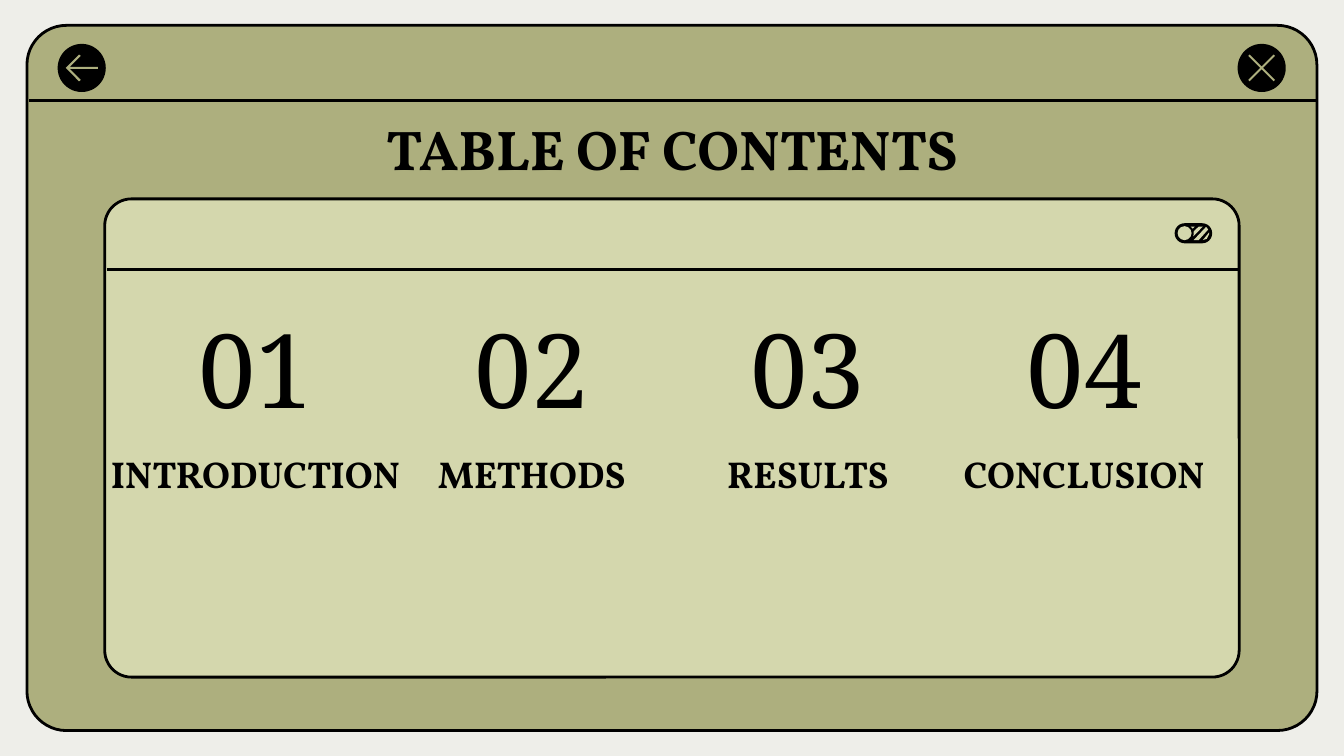
from dataclasses import dataclass

from lxml import etree
from pptx import Presentation
from pptx import util as u
from pptx.dml.color import RGBColor
from pptx.enum import shapes, text
from pptx.oxml.ns import qn
from pptx.util import Cm


@dataclass(frozen=True)
class Theme:
    page: RGBColor = RGBColor.from_string("EEEEE9")
    olive: RGBColor = RGBColor.from_string("ADAF7E")
    pale: RGBColor = RGBColor.from_string("D4D7AD")
    ink: RGBColor = RGBColor.from_string("000000")
    heading_font: str = "Vollkorn"
    number_font: str = "Noto Serif"
    title_size: int = 30
    label_size: int = 20
    number_size: int = 55
    line_width: float = 1.5


T = Theme()

# Outlines in hundredths of the icon grid, measured from the icon centre
CROSS = [(-9, -10), (-10, -9), (-1, 0), (-10, 9), (-9, 10), (0, 1),
         (9, 10), (10, 9), (1, 0), (10, -9), (9, -10), (0, -1)]
BACK_ARROW = [(-2, -10), (-12, 0), (-2, 10), (-0.7, 9), (-9, 0.7),
              (12, 0.7), (12, -0.7), (-9, -0.7), (-0.7, -9)]
# Gaps between the toggle's stripes, on a 28 by 15 grid
TOGGLE_GAPS = [
    [(15, 2.5), (13.5, 4), (12, 2.5)],
    [(21, 2.5), (14, 9.7), (14.3, 6), (18, 2.5)],
    [(23.5, 2.7), (25, 4.7), (18, 12.5), (14.2, 12.5)],
    [(25.7, 6.7), (25.7, 8), (24, 11.6), (21, 12.5)],
]

# Number, label, label box width and height
SECTIONS = [("01", "INTRODUCTION", 6.43, 1.47), ("02", "METHODS", 4.88, 1.12),
            ("03", "RESULTS", 4.88, 1.12), ("04", "CONCLUSION", 5.56, 1.93)]


def paint(sp, fill, outlined=False):
    sp.shadow.inherit = False
    sp.fill.solid()
    sp.fill.fore_color.rgb = fill
    if outlined:
        sp.line.color.rgb = T.ink
        sp.line.width = u.Pt(T.line_width)
    else:
        sp.line.fill.background()
    return sp


def add_polygon(s, origin, unit, points, fill):
    """Draw a closed outline of grid points, one grid step being unit long."""
    xy = [(origin[0] + x * unit, origin[1] + y * unit) for x, y in points]
    builder = s.shapes.build_freeform(*xy[0], scale=1.0)
    builder.add_line_segments(xy[1:], close=True)
    paint(builder.convert_to_shape(), fill)


def add_window(s, left, top, width, height, bar, fill):
    """Rounded panel with a rule below its title bar."""
    sp = s.shapes.add_shape(shapes.MSO_SHAPE.ROUNDED_RECTANGLE,
                            left, top, width, height)
    sp.adjustments[0] = 0.056
    paint(sp, fill, outlined=True)
    rule = s.shapes.add_connector(shapes.MSO_CONNECTOR.STRAIGHT, left + Cm(0.04),
                                  top + bar, left + width, top + bar)
    rule.line.color.rgb = T.ink
    rule.line.width = u.Pt(T.line_width)
    etree.SubElement(rule.element.spPr, qn("a:effectLst"))


def add_round_button(s, left, top, size, outline):
    paint(s.shapes.add_shape(shapes.MSO_SHAPE.OVAL, left, top, size, size), T.ink)
    centre = (left + size / 2, top + size / 2)
    add_polygon(s, centre, size / 36, outline, T.olive)


def add_toggle(s, left, top, width):
    unit = width / 28
    pill = s.shapes.add_shape(shapes.MSO_SHAPE.ROUNDED_RECTANGLE,
                              left, top, width, int(15 * unit))
    pill.adjustments[0] = 0.5
    paint(pill, T.ink)
    knob = int(10.4 * unit)
    inset = int(2.2 * unit)
    paint(s.shapes.add_shape(shapes.MSO_SHAPE.OVAL,
                             left + inset, top + inset, knob, knob), T.pale)
    for gap in TOGGLE_GAPS:
        add_polygon(s, (left, top), unit, gap, T.pale)


def set_text(sp, words, font, size, anchor, bold=False):
    tf = sp.text_frame
    tf.text = words
    tf.word_wrap = True
    tf.auto_size = text.MSO_AUTO_SIZE.NONE
    tf.vertical_anchor = anchor
    tf.margin_left = tf.margin_right = tf.margin_top = tf.margin_bottom = Cm(0.25)
    p = tf.paragraphs[0]
    p.alignment = text.PP_ALIGN.CENTER
    f = p.runs[0].font
    f.name, f.size, f.bold = font, u.Pt(size), bold
    f.color.rgb = T.ink
    return p


def place_title(s, left, top, width, height, words):
    title = s.shapes.title
    title.left, title.top, title.width, title.height = left, top, width, height
    p = set_text(title, words, T.heading_font, T.title_size,
                 text.MSO_ANCHOR.MIDDLE, bold=True)
    p.line_spacing = 0.7
    # The placeholder comes first in the tree; bring it above the panels
    title.element.getparent().append(title.element)


def add_sections(s, left, top, pitch, width, height):
    """Row of numbers, each with its label standing on the bottom of the box."""
    for i, (number, label, label_w, label_h) in enumerate(SECTIONS):
        x = left + i * pitch
        box = s.shapes.add_textbox(x, top, width, Cm(2.04))
        set_text(box, number, T.number_font, T.number_size, text.MSO_ANCHOR.MIDDLE)
        w, h = Cm(label_w), Cm(label_h)
        box = s.shapes.add_textbox(x + (width - w) // 2, top + height - h, w, h)
        set_text(box, label, T.heading_font, T.label_size,
                 text.MSO_ANCHOR.BOTTOM, bold=True)


def build_contents(prs):
    s = prs.slides.add_slide(prs.slide_layouts[5])
    s.background.fill.solid()
    s.background.fill.fore_color.rgb = T.page

    add_window(s, Cm(0.51), Cm(0.48), Cm(24.38), Cm(13.33), Cm(1.42), T.olive)
    add_window(s, Cm(1.98), Cm(3.76), Cm(21.44), Cm(9.04), Cm(1.33), T.pale)
    add_sections(s, Cm(2.39), Cm(5.92), Cm(5.22), Cm(4.88), Cm(3.71))
    place_title(s, Cm(1.98), Cm(2.18), Cm(21.44), Cm(1.57), "TABLE OF CONTENTS")
    add_round_button(s, Cm(23.39), Cm(0.83), Cm(0.91), CROSS)
    add_round_button(s, Cm(1.09), Cm(0.83), Cm(0.91), BACK_ARROW)
    add_toggle(s, Cm(22.2), Cm(4.22), Cm(0.71))


def main():
    prs = Presentation()
    prs.slide_width, prs.slide_height = Cm(25.4), Cm(14.29)
    build_contents(prs)
    prs.save("out.pptx")


if __name__ == "__main__":
    main()
